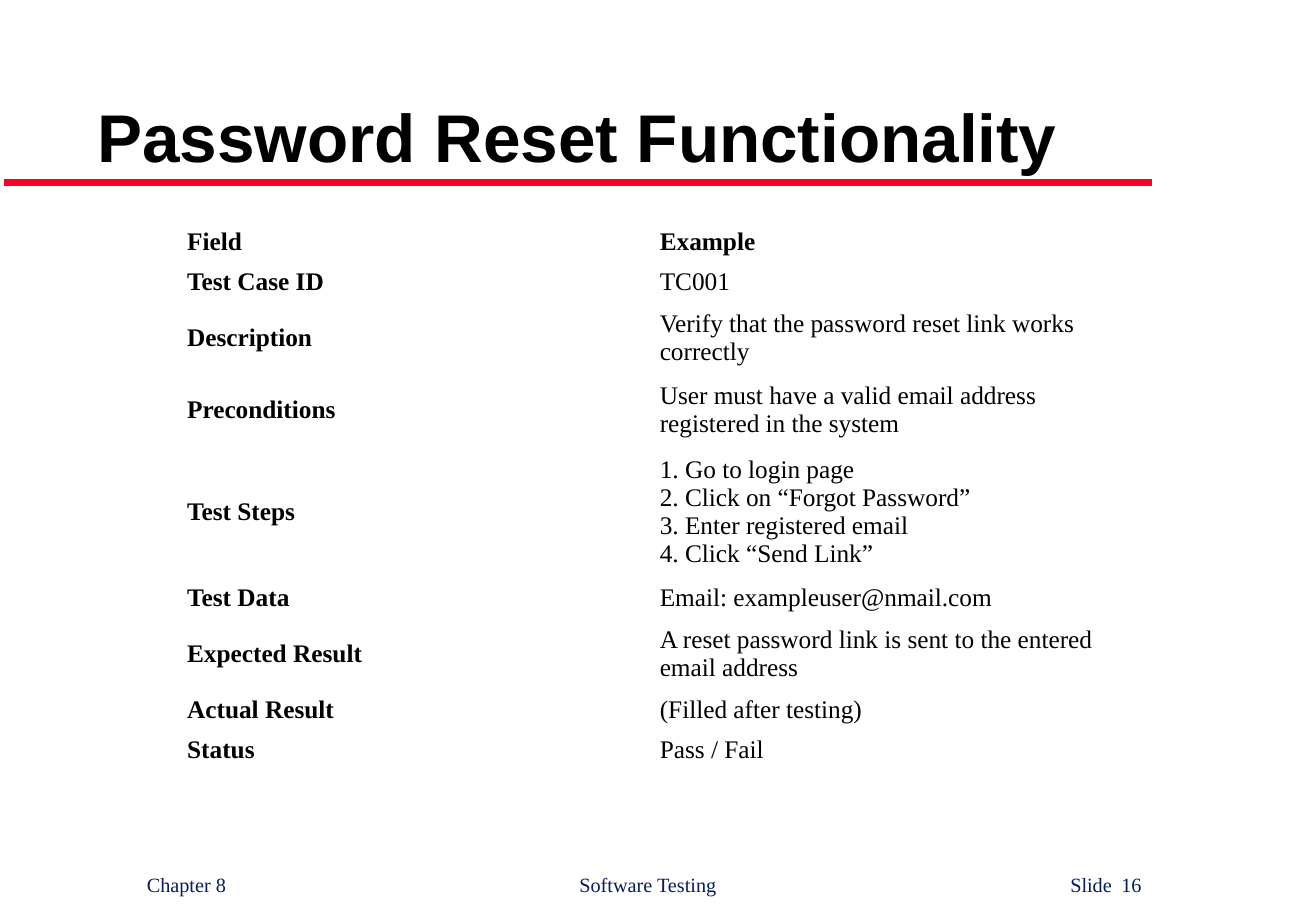
from lxml.etree import SubElement
from pptx import Presentation
from pptx.dml.color import RGBColor
from pptx.enum.shapes import MSO_CONNECTOR
from pptx.enum.text import MSO_ANCHOR, MSO_AUTO_SIZE, PP_ALIGN
from pptx.oxml.ns import qn
from pptx.util import Inches, Pt

BLACK = RGBColor(0x00, 0x00, 0x00)
RED = RGBColor(0xFC, 0x01, 0x28)
NAVY = RGBColor(0x08, 0x1D, 0x58)

ROW_HEIGHTS = {1: 0.33, 2: 0.59, 4: 1.09}  # by number of text lines

# Field, example, text lines in the row
TEST_CASE = [
    ("Field", "Example", 1),
    ("Test Case ID", "TC001", 1),
    ("Description", "Verify that the password reset link works correctly", 2),
    ("Preconditions", "User must have a valid email address registered in the system", 2),
    ("Test Steps", "1. Go to login page\n2. Click on “Forgot Password”\n"
                   "3. Enter registered email\n4. Click “Send Link”", 4),
    ("Test Data", "Email: exampleuser@nmail.com", 1),
    ("Expected Result", "A reset password link is sent to the entered email address", 2),
    ("Actual Result", "(Filled after testing)", 1),
    ("Status", "Pass / Fail", 1),
]


class LectureSlide:
    heading_font = "Arial"
    body_font = "Times New Roman"

    def __init__(self, presentation):
        self.slide = presentation.slides.add_slide(presentation.slide_layouts[5])

    def format_text(self, frame, font, size, color, bold=False):
        for paragraph in frame.paragraphs:
            paragraph.alignment = PP_ALIGN.LEFT
            for run in paragraph.runs:
                run.font.name = font
                run.font.size = Pt(size)
                run.font.bold = bold
                run.font.color.rgb = color

    def title(self, text, left, top, width, height):
        heading = self.slide.shapes.title
        heading.left, heading.top = Inches(left), Inches(top)
        heading.width, heading.height = Inches(width), Inches(height)
        frame = heading.text_frame
        frame.text = text
        frame.word_wrap = True
        frame.auto_size = MSO_AUTO_SIZE.NONE
        frame.vertical_anchor = MSO_ANCHOR.BOTTOM
        self.format_text(frame, self.heading_font, 40, BLACK, bold=True)

    def rule(self, left, right, y, weight):
        underline = self.slide.shapes.add_connector(
            MSO_CONNECTOR.STRAIGHT, Inches(left), Inches(y), Inches(right), Inches(y))
        underline.line.color.rgb = RED
        underline.line.width = Pt(weight)
        SubElement(underline._element.spPr, qn("a:effectLst"))

    def footer(self, entries, left, top, width, height):
        """Place each (text, tab position) entry at its own tab stop."""
        box = self.slide.shapes.add_textbox(
            Inches(left), Inches(top), Inches(width), Inches(height))
        frame = box.text_frame
        frame.word_wrap = True
        frame.text = "".join("\t" + text for text, _ in entries)
        tab_list = SubElement(frame.paragraphs[0]._p.get_or_add_pPr(), qn("a:tabLst"))
        for _, position in entries:
            SubElement(tab_list, qn("a:tab"), pos=str(Inches(position)), algn="l")
        self.format_text(frame, self.body_font, 12, NAVY)

    def table(self, rows, left, top, column_width):
        heights = [ROW_HEIGHTS[lines] for _, _, lines in rows]
        grid = self.slide.shapes.add_table(
            len(rows), 2, Inches(left), Inches(top),
            Inches(2 * column_width), Inches(sum(heights))).table
        grid.first_row = grid.horz_banding = False
        for column in grid.columns:
            column.width = Inches(column_width)
        for row_index, (field, example, _) in enumerate(rows):
            grid.rows[row_index].height = Inches(heights[row_index])
            for column_index, text in enumerate((field, example)):
                cell = grid.cell(row_index, column_index)
                cell.fill.background()
                cell.vertical_anchor = MSO_ANCHOR.MIDDLE
                cell.margin_left = cell.margin_right = Inches(0.08)
                cell.margin_top = cell.margin_bottom = Inches(0.04)
                cell.text_frame.text = text
                self.format_text(cell.text_frame, self.body_font, 15, BLACK,
                                 bold=row_index == 0 or column_index == 0)


def main():
    presentation = Presentation()
    presentation.slide_width = Inches(10.83)
    presentation.slide_height = Inches(7.5)
    lecture = LectureSlide(presentation)

    # Heading and its underline
    lecture.rule(0.03, 9.48, 1.5, 4)
    lecture.title("Password Reset Functionality", 0.7, 0.29, 9.3, 1.21)

    # Test case
    lecture.table(TEST_CASE, 1.46, 1.83, 3.89)

    # Footer
    lecture.footer([("Chapter 8", 0.41), ("Software Testing", 3.97),
                    ("Slide", 8.01), ("16", 8.43)], 0.7, 7.13, 9.3, 0.3)

    presentation.save("out.pptx")


if __name__ == "__main__":
    main()
